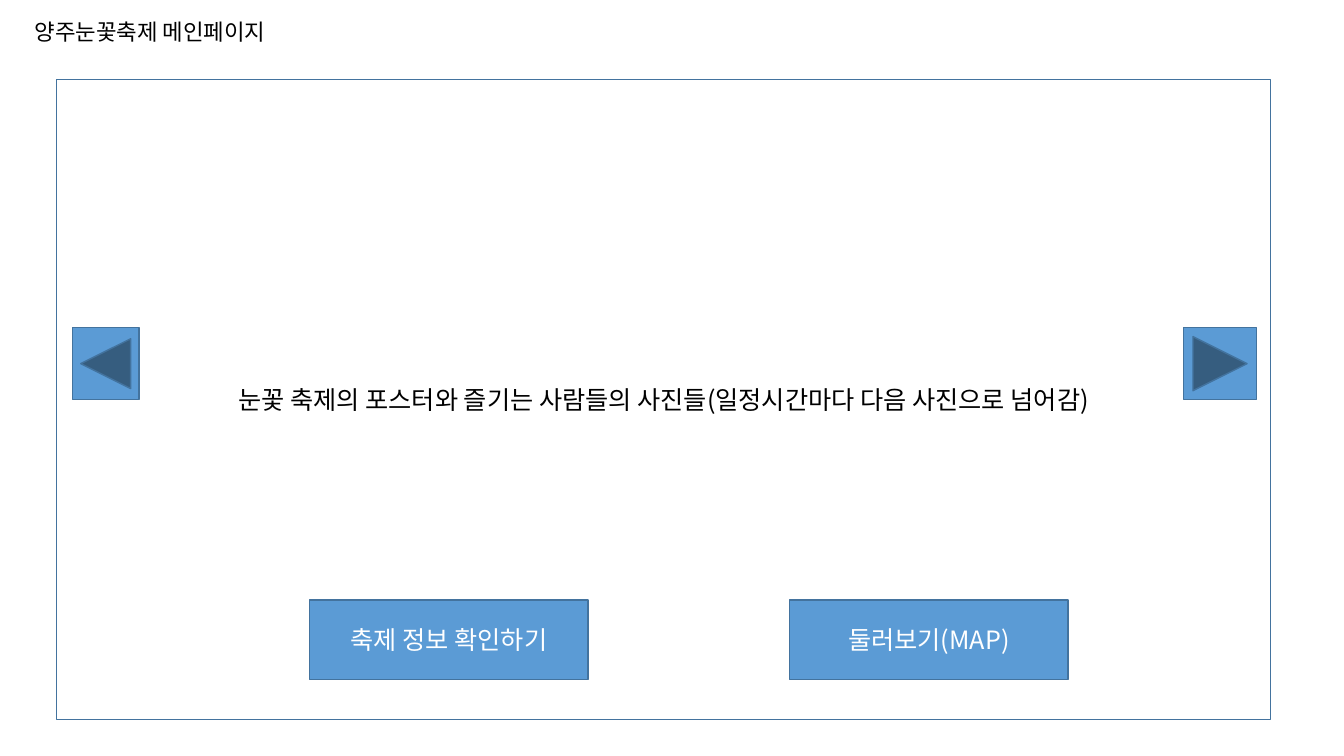
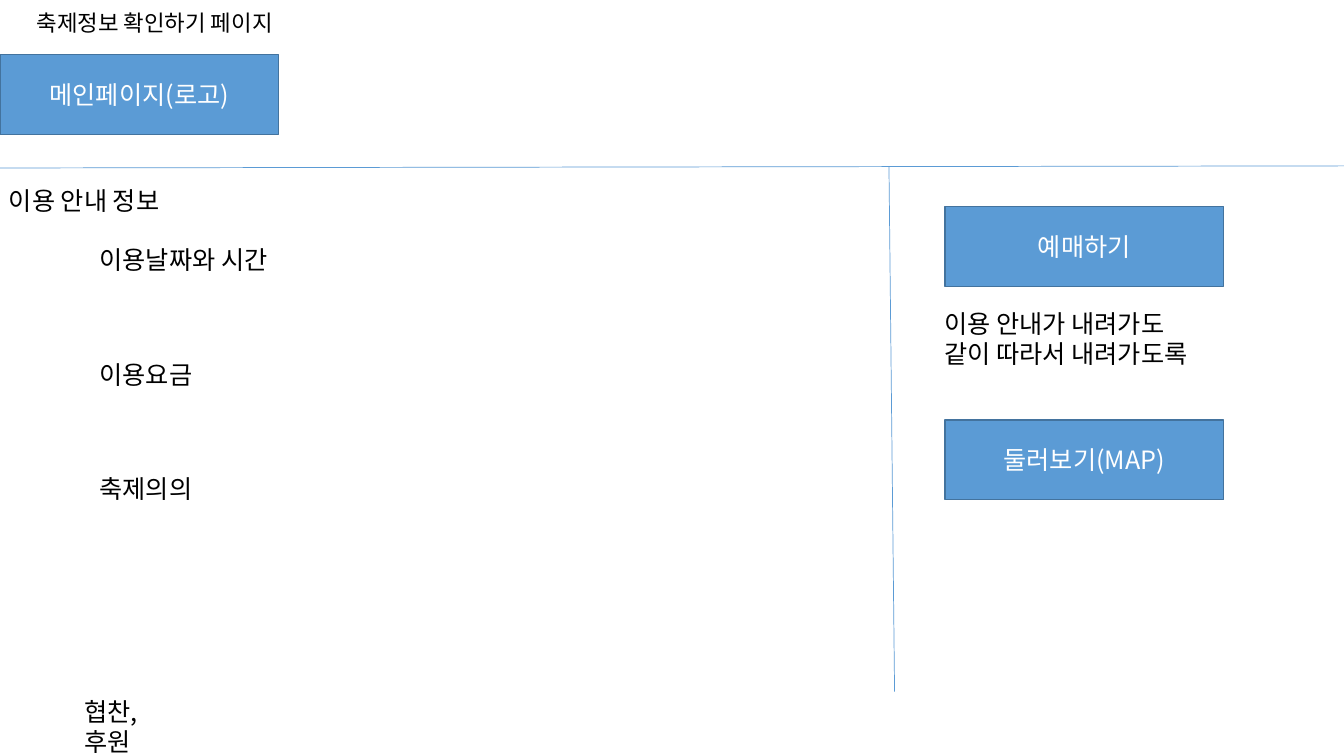
import pptx
import pptx.util
import pptx.dml.color
import pptx.enum.shapes
import pptx.enum.text
import pptx.oxml
import pptx.oxml.ns
import lxml.etree

Pt = pptx.util.Pt
SHAPES = pptx.enum.shapes.MSO_SHAPE
ALIGN = pptx.enum.text.PP_ALIGN
ANCHOR = pptx.enum.text.MSO_ANCHOR
FIT = pptx.enum.text.MSO_AUTO_SIZE

COLORS = {"ink": "000000", "paper": "FFFFFF", "accent": "5B9BD5", "edge": "43739E"}
FONT = "Noto Sans CJK KR"
SLIDE_WIDTH, SLIDE_HEIGHT = 960, 540
BUTTON_WIDTH, BUTTON_HEIGHT = 199, 57

TITLE_FRAME = {"word_wrap": True, "auto_size": FIT.NONE, "vertical_anchor": ANCHOR.BOTTOM}
SHAPE_FRAME = {"word_wrap": True, "vertical_anchor": ANCHOR.MIDDLE}
LABEL_FRAME = {"word_wrap": False, "auto_size": FIT.SHAPE_TO_FIT_TEXT}
SPONSOR_FRAME = {"word_wrap": True, "margin_right": Pt(20)}
TITLE_PARAGRAPH = {"alignment": ALIGN.CENTER, "line_spacing": 0.9}
CENTERED = {"alignment": ALIGN.CENTER}
LEFT = {"alignment": ALIGN.LEFT}


def rgb(name):
    return pptx.dml.color.RGBColor.from_string(COLORS[name])


def apply(target, values):
    for name, value in values.items():
        setattr(target, name, value)


def points(*lengths):
    return [Pt(length) for length in lengths]


def write(frame, text, frame_format, paragraph_format, color="ink", size=18):
    frame.text = text
    apply(frame, frame_format)
    for paragraph in frame.paragraphs:
        apply(paragraph, paragraph_format)
        for run in paragraph.runs:
            apply(run.font, {"name": FONT, "size": Pt(size)})
            run.font.color.rgb = rgb(color)
            east_asian = lxml.etree.SubElement(
                run.font._element, pptx.oxml.ns.qn("a:ea"))
            east_asian.set("typeface", FONT)


def add_page(deck, title, box):
    slide = deck.slides.add_slide(deck.slide_layouts[0])
    subtitle = slide.placeholders[1].element
    subtitle.getparent().remove(subtitle)
    heading = slide.shapes.title
    apply(heading, dict(zip(("left", "top", "width", "height"), points(*box))))
    write(heading.text_frame, title, TITLE_FRAME, TITLE_PARAGRAPH, size=16)
    return slide


def add_panel(slide, kind, box, fill=None, text="", color="paper"):
    panel = slide.shapes.add_shape(kind, *points(*box))
    panel.shadow.inherit = False
    if fill:
        panel.fill.solid()
        panel.fill.fore_color.rgb = rgb(fill)
    else:
        panel.fill.background()
    panel.line.color.rgb = rgb("edge")
    panel.line.width = Pt(1)
    if text:
        write(panel.text_frame, text, SHAPE_FRAME, CENTERED, color)


def add_button(slide, text, left, top):
    add_panel(slide, SHAPES.RECTANGLE, (left, top, BUTTON_WIDTH, BUTTON_HEIGHT),
              "accent", text)


def add_label(slide, text, box, frame_format=LABEL_FRAME):
    label = slide.shapes.add_textbox(*points(*box))
    write(label.text_frame, text, frame_format, LEFT)


def add_divider(slide, start, end):
    divider = slide.shapes.add_connector(
        pptx.enum.shapes.MSO_CONNECTOR.STRAIGHT, *points(*start, *end))
    divider.line.color.rgb = rgb("accent")
    divider.line.width = Pt(0.5)
    lxml.etree.SubElement(divider._element.spPr, pptx.oxml.ns.qn("a:effectLst"))


def add_photo_carousel(slide, box):
    left, top, width, height = box
    add_panel(slide, SHAPES.RECTANGLE, box, color="ink",
              text="눈꽃 축제의 포스터와 즐기는 사람들의 사진들(일정시간마다 다음 사진으로 넘어감)")
    for text, offset in (("축제 정보 확인하기", 180.7), ("둘러보기(MAP)", 523.5)):
        add_button(slide, text, left + offset, top + height - 85.5)
    arrow_top, arrow_height = top + 177, 51.5
    add_panel(slide, SHAPES.ACTION_BUTTON_FORWARD_OR_NEXT,
              (left + width - 62, arrow_top, 52, arrow_height), "accent")
    add_panel(slide, SHAPES.ACTION_BUTTON_BACK_OR_PREVIOUS,
              (left + 11.3, arrow_top, 47.5, arrow_height), "accent")


def add_guide(slide, box):
    left, top, width, height = box
    add_label(slide, "이용 안내 정보", (left - 0.7, top + 9, 137, 29))
    topics = (("이용날짜와 시간", 148), ("이용요금", 87), ("축제의의", 87))
    for row, (topic, topic_width) in enumerate(topics):
        add_label(slide, topic, (left + 64, top + 50.8 + row * 82, topic_width, 29))
    add_label(slide, "협찬,후원", (left + 53.3, top + height - 26, 91.5, 29), SPONSOR_FRAME)


def add_booking_sidebar(slide, box):
    left, top, width, height = box
    add_divider(slide, (left, top), (left + 4, top + height))
    add_button(slide, "예매하기", left + 40, top + 28.5)
    add_label(slide, "이용 안내가 내려가도\v같이 따라서 내려가도록",
              (left + 32.4, top + 97.8, 209.5, 51))
    add_button(slide, "둘러보기(MAP)", left + 40, top + 181)


def main():
    deck = pptx.Presentation()
    apply(deck, {"slide_width": Pt(SLIDE_WIDTH), "slide_height": Pt(SLIDE_HEIGHT)})

    main_page = add_page(deck, "양주눈꽃축제 메인페이지", (0, 5, 214.5, 31))
    add_photo_carousel(main_page, (40.5, 57, 867, 457))

    info_page = add_page(deck, "축제정보 확인하기 페이지", (0, 2, 221, 27.5))
    add_button(info_page, "메인페이지(로고)", 0, 39)
    add_divider(info_page, (0, 120), (SLIDE_WIDTH, 118.5))
    add_guide(info_page, (0, 120, 635, 400))
    add_booking_sidebar(info_page, (635, 119, 325, 375))

    deck.save("out.pptx")


if __name__ == "__main__":
    main()
